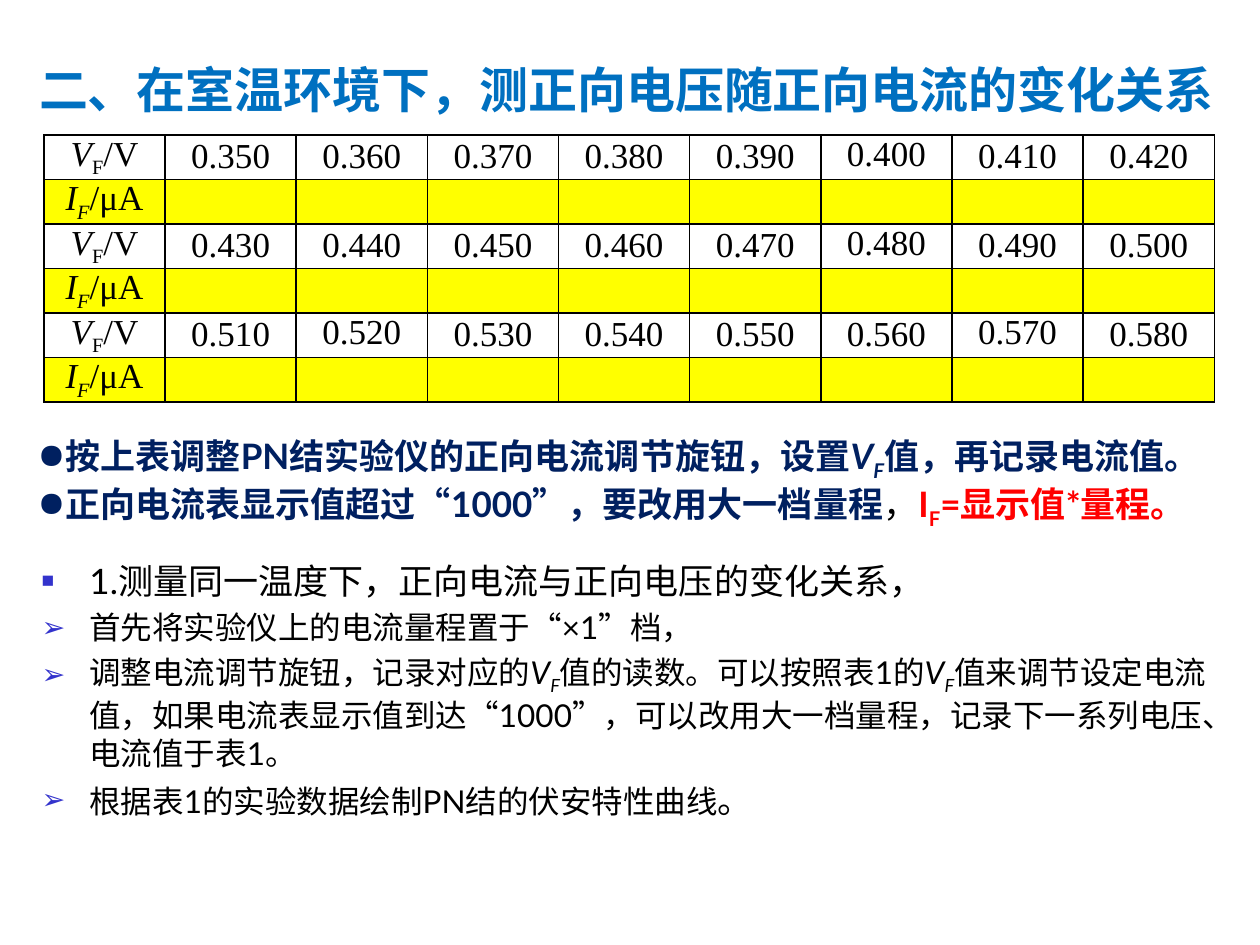
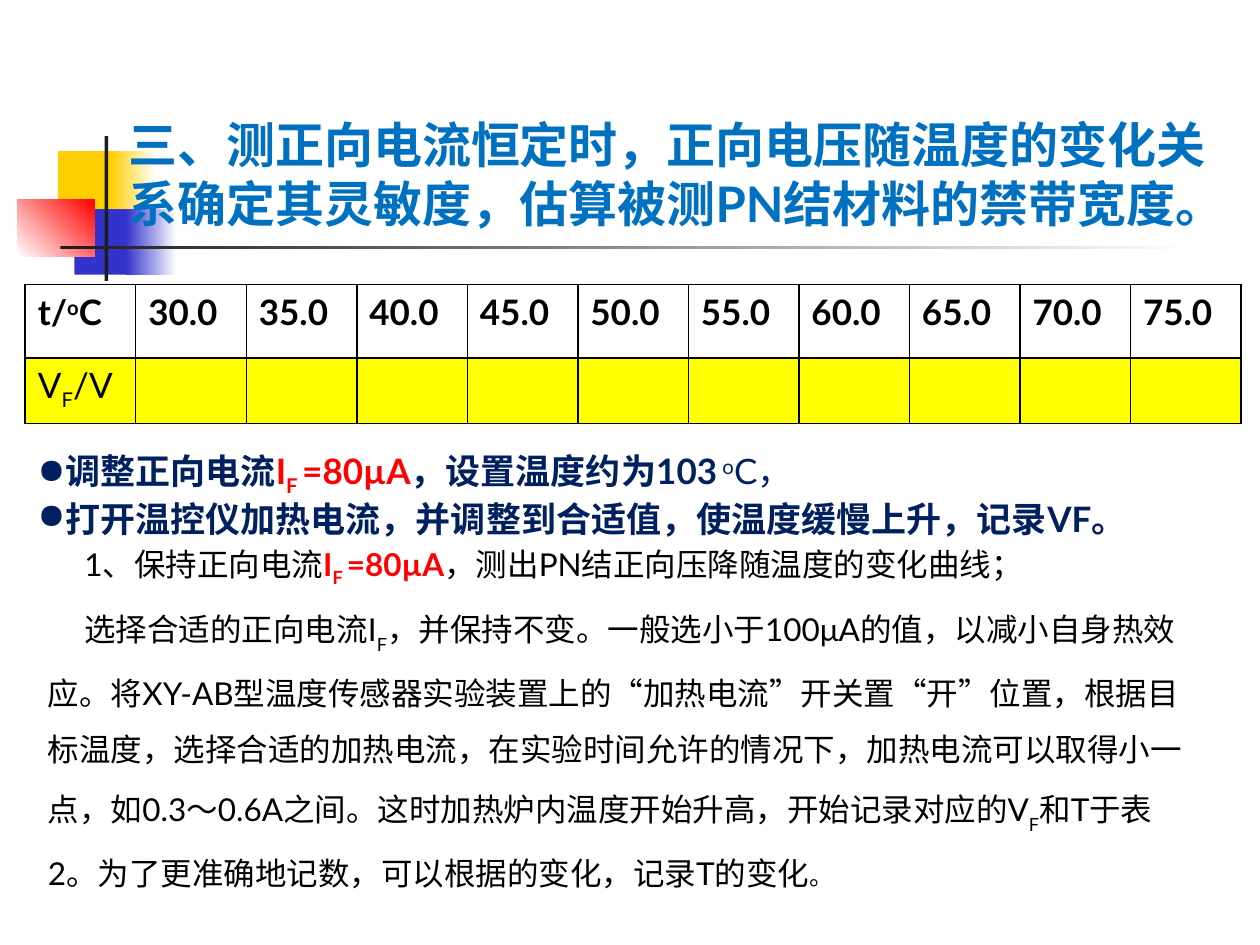
from dataclasses import dataclass
from typing import NamedTuple

from lxml import etree
from pptx import Presentation
from pptx.dml.color import RGBColor
from pptx.enum.shapes import MSO_SHAPE
from pptx.enum.text import MSO_ANCHOR, MSO_AUTO_SIZE, PP_ALIGN
from pptx.oxml.ns import qn
from pptx.util import Inches, Pt

RECTANGLE = MSO_SHAPE.RECTANGLE
TOP, MIDDLE = MSO_ANCHOR.TOP, MSO_ANCHOR.MIDDLE
LEFT, CENTER = PP_ALIGN.LEFT, PP_ALIGN.CENTER
TITLE_AND_CONTENT = 1
SUBSCRIPT, SUPERSCRIPT = -25, 30


@dataclass(frozen=True)
class Theme:
    font: str = "Lato"
    asian_font: str = "Noto Sans CJK SC"
    serif: str = "Times New Roman"
    title: str = "0070C0"
    note: str = "002060"
    accent: str = "FF0000"
    text: str = "000000"
    bullet: str = "3333CC"
    paper: str = "FFFFFF"
    entry: str = "FFFF00"
    gold: str = "FFCF01"
    bar: str = "1C1C1C"
    title_size: int = 28
    note_size: int = 20
    body_size: int = 18
    stop_size: int = 14


THEME = Theme()


class Box(NamedTuple):
    left: float
    top: float
    width: float
    height: float

    def lengths(self) -> list:
        return [Inches(value) for value in self]


class Run(NamedTuple):
    """Text with only the formatting that differs from its paragraph."""
    text: str
    color: str | None = None
    bold: bool | None = None
    italic: bool | None = None
    baseline: int = 0
    size: int | None = None


class Bullet(NamedTuple):
    character: str
    color: str | None = None
    percent: int = 100


@dataclass(frozen=True)
class ParagraphStyle:
    size: int
    color: str = THEME.text
    bold: bool = False
    font: str = THEME.font
    align: PP_ALIGN = LEFT
    margin: float = 0
    indent: float = 0
    line_spacing: float | None = None
    space_before: int = 0
    bullet: Bullet | None = None


class Block(NamedTuple):
    """Rectangle with a plain fill, or a gradient when end is given."""
    box: Box
    start: str
    end: str | None = None
    angle: int = 0


@dataclass(frozen=True)
class TableStyle:
    text: ParagraphStyle
    margins: tuple[float, float]
    anchor: MSO_ANCHOR


TITLE = ParagraphStyle(THEME.title_size, THEME.title, True)
NOTE = ParagraphStyle(THEME.note_size, THEME.note, True, bullet=Bullet("●"))
TASK = ParagraphStyle(THEME.note_size, margin=0.38, indent=-0.38, space_before=4,
                      bullet=Bullet("■", THEME.bullet, 60))
STEP = ParagraphStyle(THEME.body_size, margin=0.38, indent=-0.38, space_before=4,
                      bullet=Bullet("➢", THEME.bullet, 90))
PROSE = ParagraphStyle(THEME.body_size, indent=0.29, line_spacing=1.5)
VOLTAGE_TABLE = TableStyle(
    ParagraphStyle(20, font=THEME.serif, align=CENTER), (0.07, 0), MIDDLE)
HEADING_TEXT = ParagraphStyle(20, bold=True)
TEMPERATURE_TABLE = TableStyle(HEADING_TEXT, (0.1, 0.05), TOP)

V_F = [Run("V", italic=True), Run("F", italic=True, baseline=SUBSCRIPT)]
SET_CURRENT = [Run("I", THEME.accent, True), Run("F ", THEME.accent, True, baseline=SUBSCRIPT),
               Run("=80µA", THEME.accent, True)]

ORNAMENT = [
    Block(Box(0.46, 1.2, 0.48, 0.52), THEME.gold),
    Block(Box(0.88, 1.2, 0.36, 0.52), THEME.gold, THEME.paper),
    Block(Box(0.59, 1.66, 0.46, 0.52), THEME.bullet),
    Block(Box(1, 1.66, 0.4, 0.52), THEME.bullet, THEME.paper),
    Block(Box(0.14, 1.58, 0.61, 0.46), THEME.paper, THEME.accent, 45),
    Block(Box(0.83, 1.08, 0.03, 1.15), THEME.bar),
    Block(Box(0.48, 1.95, 9, 0.03), THEME.bar, THEME.paper),
]


def rgb(color: str) -> RGBColor:
    return RGBColor.from_string(color)


def set_bullet(properties, bullet: Bullet | None) -> None:
    if bullet is None:
        etree.SubElement(properties, qn("a:buNone"))
        return
    if bullet.color:
        holder = etree.SubElement(properties, qn("a:buClr"))
        etree.SubElement(holder, qn("a:srgbClr"), val=bullet.color)
    etree.SubElement(properties, qn("a:buSzPct"), val=str(bullet.percent * 1000))
    etree.SubElement(properties, qn("a:buChar"), char=bullet.character)


def write(paragraph, style: ParagraphStyle, runs: list[Run]) -> None:
    properties = paragraph._p.get_or_add_pPr()
    properties.set("marL", str(Inches(style.margin)))
    properties.set("indent", str(Inches(style.indent)))
    set_bullet(properties, style.bullet)
    paragraph.alignment = style.align
    paragraph.space_before = Pt(style.space_before)
    if style.line_spacing:
        paragraph.line_spacing = style.line_spacing
    font = paragraph.font
    font.name, font.size, font.bold = style.font, Pt(style.size), style.bold
    font.color.rgb = rgb(style.color)
    etree.SubElement(font._element, qn("a:ea"), typeface=THEME.asian_font)
    for part in runs:
        run = paragraph.add_run()
        run.text = part.text
        run.font.bold, run.font.italic = part.bold, part.italic
        if part.color:
            run.font.color.rgb = rgb(part.color)
        if part.size:
            run.font.size = Pt(part.size)
        if part.baseline:
            run.font._element.set("baseline", str(part.baseline * 1000))


def fill_text(shape, box: Box, content: list[tuple[ParagraphStyle, list[Run]]],
              anchor: MSO_ANCHOR = TOP) -> None:
    """Move a text shape into its box and write its paragraphs."""
    shape.left, shape.top, shape.width, shape.height = box.lengths()
    frame = shape.text_frame
    frame.word_wrap, frame.auto_size = True, MSO_AUTO_SIZE.NONE
    frame.vertical_anchor = anchor
    for index, (style, runs) in enumerate(content):
        paragraph = frame.add_paragraph() if index else frame.paragraphs[0]
        write(paragraph, style, runs)


def add_notes(slide, box: Box, notes: list[list[Run]]) -> None:
    fill_text(slide.shapes.add_textbox(*box.lengths()), box, [(NOTE, runs) for runs in notes])


def add_block(slide, block: Block) -> None:
    shape = slide.shapes.add_shape(RECTANGLE, *block.box.lengths())
    shape.shadow.inherit = False
    shape.line.fill.background()
    if block.end is None:
        shape.fill.solid()
        shape.fill.fore_color.rgb = rgb(block.start)
        return
    shape.fill.gradient()
    shape.fill.gradient_angle = block.angle
    for stop, color in zip(shape.fill.gradient_stops, (block.start, block.end)):
        stop.color.rgb = rgb(color)


def set_borders(cell) -> None:
    properties = cell._tc.get_or_add_tcPr()
    for side in ("lnL", "lnR", "lnT", "lnB"):
        line = etree.SubElement(properties, qn(f"a:{side}"), w=str(Pt(1)))
        solid = etree.SubElement(line, qn("a:solidFill"))
        etree.SubElement(solid, qn("a:srgbClr"), val=THEME.text)


def add_measurement_table(slide, box: Box, style: TableStyle, rows: list[list[list[Run]]],
                          label_width: float, heights: list[float],
                          raised: tuple[str, ...] = ()) -> None:
    """Alternate given values with yellow rows to fill in; raised values sit at the top."""
    columns = len(rows[0])
    table = slide.shapes.add_table(len(rows), columns, *box.lengths()).table
    table.first_row = table.horz_banding = False
    value_width = (box.width - label_width) / (columns - 1)
    for index, column in enumerate(table.columns):
        column.width = Inches(value_width if index else label_width)
    for row_index, (row, height) in enumerate(zip(rows, heights)):
        table.rows[row_index].height = Inches(height)
        for column_index, runs in enumerate(row):
            cell = table.cell(row_index, column_index)
            set_borders(cell)
            cell.fill.solid()
            cell.fill.fore_color.rgb = rgb(THEME.entry if row_index % 2 else THEME.paper)
            cell.margin_left = cell.margin_right = Inches(style.margins[0])
            cell.margin_top = cell.margin_bottom = Inches(style.margins[1])
            is_raised = bool(runs) and runs[0].text in raised
            cell.vertical_anchor = TOP if is_raised else style.anchor
            write(cell.text_frame.paragraphs[0], style.text, runs)


def build_voltage_slide(presentation) -> None:
    slide = presentation.slides.add_slide(presentation.slide_layouts[TITLE_AND_CONTENT])
    rows = []
    for first in (350, 430, 510):
        values = [[Run(f"{(first + 10 * step) / 1000:.3f}")] for step in range(8)]
        rows.append([[V_F[0], Run("F", baseline=SUBSCRIPT), Run("/V")], *values])
        rows.append([[Run("I", italic=True), V_F[1], Run("/μA")], *[[] for _ in values]])
    add_measurement_table(slide, Box(0.35, 1.07, 9.29, 2.05), VOLTAGE_TABLE, rows, 0.96,
                          [2.12 / 6] * 6, ("0.400", "0.480", "0.520", "0.570"))
    fill_text(slide.shapes.title, Box(0.21, 0.42, 9.75, 0.57),
              [(TITLE, [Run("二、在室温环境下，测正向电压随正向电流的变化关系")])])
    add_notes(slide, Box(0.2, 3.4, 9.61, 1.08), [
        [Run("按上表调整PN结实验仪的正向电流调节旋钮，设置"), *V_F, Run("值，再记录电流值。")],
        [Run("正向电流表显示值超过“1000”，要改用大一档量程"), Run("，", THEME.text, False),
         Run("I", THEME.accent), Run("F", THEME.accent, baseline=SUBSCRIPT),
         Run("=显示值*量程。", THEME.accent)],
    ])
    fill_text(slide.placeholders[1], Box(0.23, 4.39, 9.53, 2.75), [
        (TASK, [Run("1.测量同一温度下，正向电流与正向电压的变化关系，")]),
        (STEP, [Run("首先将实验仪上的电流量程置于“×1”档，")]),
        (STEP, [Run("调整电流调节旋钮，记录对应的"), *V_F, Run("值的读数。可以按照表1的"), *V_F,
                Run("值来调节设定电流值，如果电流表显示值到达“1000”，"
                    "可以改用大一档量程，记录下一系列电压、电流值于表1。")]),
        (STEP, [Run("根据表1的实验数据绘制PN结的伏安特性曲线"), Run("。", size=THEME.note_size)]),
    ])


def build_temperature_slide(presentation) -> None:
    slide = presentation.slides.add_slide(presentation.slide_layouts[TITLE_AND_CONTENT])
    for block in ORNAMENT:
        add_block(slide, block)
    title = slide.shapes.title
    slide.shapes.element.append(title.element)  # brings the title in front of the ornament
    fill_text(title, Box(0.92, 0.86, 9.08, 1.04), [(TITLE, [
        Run("三、测正向电流恒定时，正向电压随温度的变化关系确定其灵敏度，估算被测PN结材料的禁带宽度。")])])
    temperatures = [[Run(f"{value:.1f}")] for value in range(30, 80, 5)]
    rows = [
        [[Run("t/"), Run("o", baseline=SUPERSCRIPT), Run("C")], *temperatures],
        [[Run("V", bold=False), Run("F", bold=False, baseline=SUBSCRIPT), Run("/V", bold=False)],
         *[[] for _ in temperatures]],
    ]
    add_measurement_table(slide, Box(0.2, 2.26, 9.65, 1.1), TEMPERATURE_TABLE, rows,
                          9.65 / 11, [0.58, 0.52])
    add_notes(slide, Box(0.2, 3.52, 9.73, 1.11), [
        [Run("调整正向电流"), *SET_CURRENT, Run("，设置温度约为103"),
         Run(" o", bold=False, baseline=SUPERSCRIPT), Run("C，", bold=False)],
        [Run("打开温控仪加热电流，并调整到合适值，使温度缓慢上升，记录VF。")],
    ])
    small_f = Run("F", baseline=-30)
    fill_text(slide.placeholders[1], Box(0.28, 4.2, 9.34, 2.83), [
        (PROSE, [Run("1、保持正向电流"), *SET_CURRENT, Run("，测出PN结正向压降随温度的变化曲线；")]),
        (PROSE, [Run("选择合适的正向电流I"), small_f,
                 Run("，并保持不变。一般选小于100μA的值，以减小自身热效应。将XY-AB型温度传感器"
                     "实验装置上的“加热电流”开关置“开”位置，根据目标温度，选择合适的加热电流，"
                     "在实验时间允许的情况下，加热电流可以取得小一点，如0.3～0.6A之间。"
                     "这时加热炉内温度开始升高，开始记录对应的V"), small_f,
                 Run("和T于表2。为了更准确地记数，可以根据的变化，记录T的变化"),
                 Run("。", size=THEME.stop_size)]),
    ], MIDDLE)


def main() -> None:
    presentation = Presentation()
    presentation.slide_width, presentation.slide_height = Inches(10), Inches(7.5)
    build_voltage_slide(presentation)
    build_temperature_slide(presentation)
    presentation.save("out.pptx")


if __name__ == "__main__":
    main()
